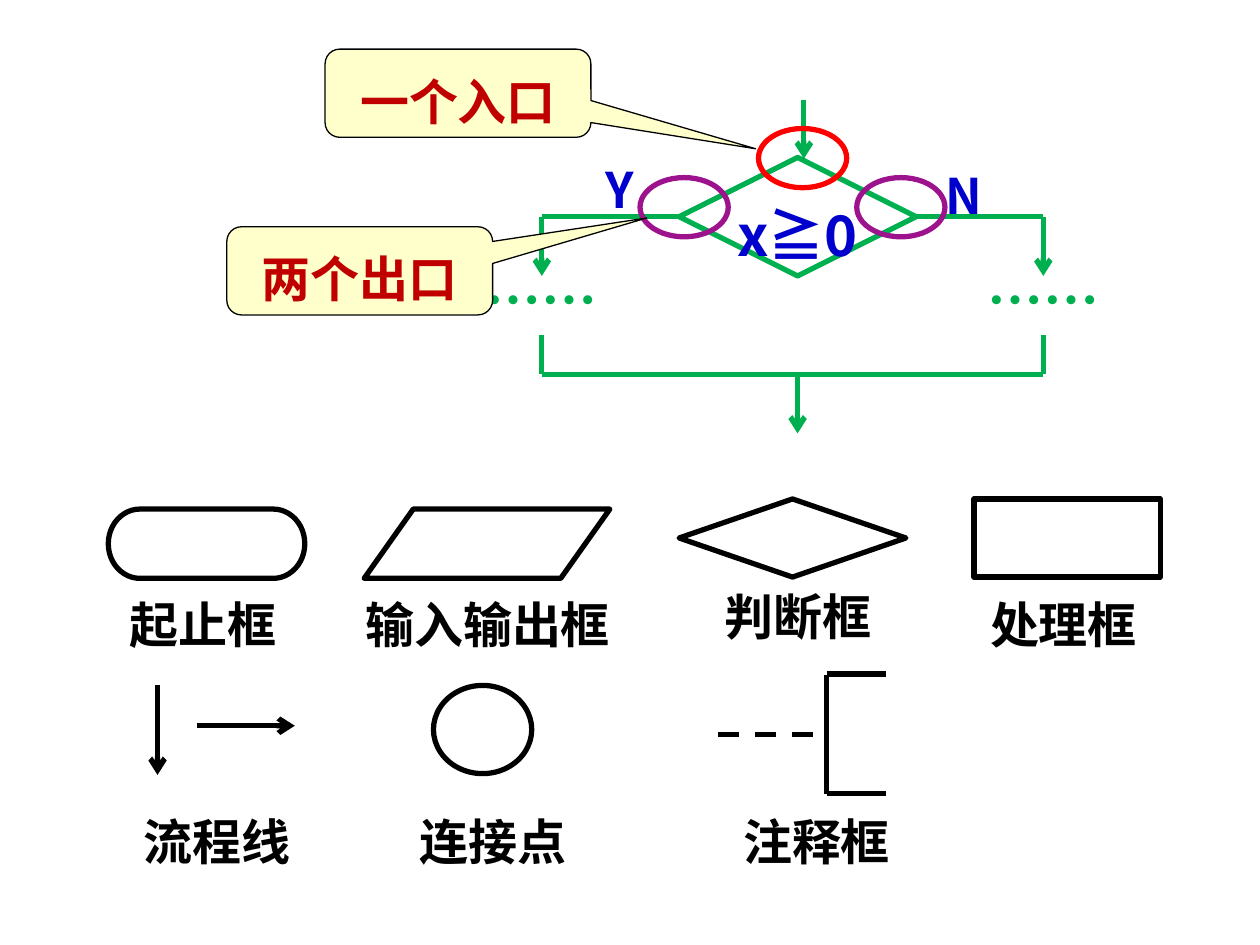
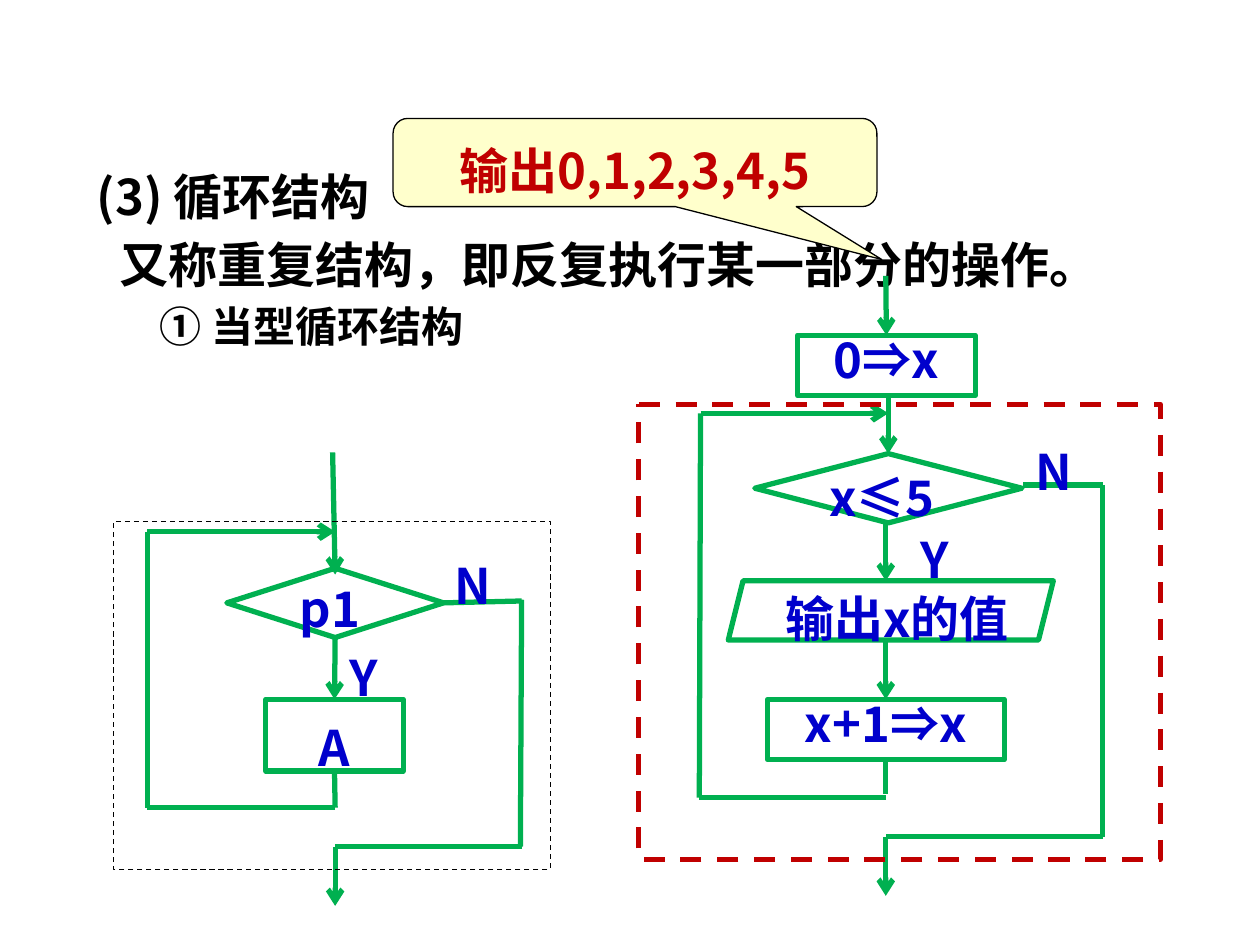
from lxml import etree
from pptx import Presentation
from pptx.dml.color import RGBColor
from pptx.enum.dml import MSO_LINE
from pptx.enum.shapes import MSO_CONNECTOR, MSO_SHAPE
from pptx.enum.text import MSO_ANCHOR, PP_ALIGN
from pptx.oxml.ns import qn
from pptx.util import Inches, Pt

FONT = "Noto Sans CJK SC"
BLACK = RGBColor(0x00, 0x00, 0x00)
WHITE = RGBColor(0xFF, 0xFF, 0xFF)
GREEN = RGBColor(0x00, 0xB0, 0x50)
BLUE = RGBColor(0x00, 0x00, 0xCC)
DARK_RED = RGBColor(0xC0, 0x00, 0x00)
RED = RGBColor(0xFF, 0x00, 0x00)
PURPLE = RGBColor(0x9D, 0x13, 0x8D)
CREAM = RGBColor(0xFF, 0xFF, 0xCC)

RECT = MSO_SHAPE.RECTANGLE
ELLIPSE = MSO_SHAPE.OVAL
TERMINATOR = MSO_SHAPE.FLOWCHART_TERMINATOR
DATA = MSO_SHAPE.FLOWCHART_DATA
DECISION = MSO_SHAPE.FLOWCHART_DECISION
PROCESS = MSO_SHAPE.FLOWCHART_PROCESS
JOINT = MSO_SHAPE.FLOWCHART_CONNECTOR
PARALLELOGRAM = MSO_SHAPE.PARALLELOGRAM
CALLOUT = MSO_SHAPE.ROUNDED_RECTANGULAR_CALLOUT
STRAIGHT = MSO_CONNECTOR.STRAIGHT
DASH = MSO_LINE.DASH
CENTER = PP_ALIGN.CENTER
TOP = MSO_ANCHOR.TOP
JOINABLE = (RECT, DECISION, PROCESS)
SNAP = 0.02


def write(p, text, size, color, spacing=1.2):
    p.line_spacing = spacing
    r = p.add_run()
    r.text = text
    r.font.size = Pt(size)
    r.font.bold = True
    r.font.color.rgb = color
    r.font.name = FONT
    etree.SubElement(r._r.get_or_add_rPr(), qn("a:ea"), typeface=FONT)


def draw(s, kind, at, fill, color, width=3):
    sp = s.shapes.add_shape(kind, *map(Inches, at))
    sp.shadow.inherit = False
    if fill is None:
        sp.fill.background()
    else:
        sp.fill.solid()
        sp.fill.fore_color.rgb = fill
    sp.line.color.rgb = color
    sp.line.width = Pt(width)
    sp.text_frame.vertical_anchor = TOP
    return sp


symbols_slide = {
    "nodes": [
        (TERMINATOR, (0.86, 4.04, 1.56, 0.55), WHITE, BLACK),
        (DATA, (2.89, 4.04, 1.95, 0.55), WHITE, BLACK),
        (DECISION, (5.39, 3.96, 1.8, 0.62), WHITE, BLACK),
        (PROCESS, (7.73, 3.96, 1.48, 0.62), WHITE, BLACK),
        (JOINT, (3.44, 5.44, 0.78, 0.7), WHITE, BLACK),
        (DECISION, (5.39, 1.25, 1.88, 0.94), WHITE, GREEN),
    ],
    "node_texts": {5: ("x≧0", 32, 1.2)},
    "lines": [
        (BLACK, "arrow", (1.25, 5.44), (1.25, 6.15)),
        (BLACK, "arrow", (1.56, 5.76), (2.34, 5.76)),
        (BLACK, "dash", (5.7, 5.83), (6.56, 5.83)),
        (BLACK, "", (6.56, 5.35), (7.03, 5.35)),
        (BLACK, "", (6.56, 5.36), (6.56, 6.3)),
        (BLACK, "", (6.56, 6.3), (7.03, 6.3)),
        (GREEN, "arrow", (6.38, 0.79), (6.38, 1.26)),
        (GREEN, "arrow", (4.3, 1.72), (4.3, 2.19)),
        (GREEN, "", (5.39, 1.72), (4.3, 1.72)),
        (GREEN, "", (8.28, 1.72), (7.27, 1.72)),
        (GREEN, "arrow", (8.28, 1.72), (8.28, 2.19)),
        (GREEN, "", (4.3, 2.66), (4.3, 2.97)),
        (GREEN, "", (8.28, 2.66), (8.28, 2.97)),
        (GREEN, "", (8.28, 2.97), (4.3, 2.97)),
        (GREEN, "arrow", (6.33, 2.97), (6.33, 3.44)),
    ],
    "labels": [
        ("起止框", 0.83, 4.58, 1.56, 28, BLACK),
        ("输入输出框", 2.66, 4.58, 2.42, 28, BLACK),
        ("判断框", 5.47, 4.51, 1.72, 28, BLACK),
        ("处理框", 7.58, 4.58, 1.72, 28, BLACK),
        ("流程线", 0.86, 6.3, 1.72, 28, BLACK),
        ("连接点", 3.05, 6.3, 1.72, 28, BLACK),
        ("注释框", 5.62, 6.3, 1.72, 28, BLACK),
        ("Y", 4.61, 1.12, 0.62, 28, BLUE),
        ("N", 7.34, 1.17, 0.62, 28, BLUE),
        ("……", 3.44, 1.95, 1.72, 32, GREEN),
        ("……", 7.42, 1.95, 1.72, 32, GREEN),
    ],
    "frames": [
        (ELLIPSE, (6.02, 1.02, 0.7, 0.47), RED, 3, None),
        (ELLIPSE, (5.08, 1.41, 0.7, 0.47), PURPLE, 3, None),
        (ELLIPSE, (6.8, 1.41, 0.7, 0.47), PURPLE, 3, None),
    ],
    "callouts": [
        ("一个入口", (2.58, 0.39, 2.11, 0.7), (1.12, 0.63)),
        ("两个出口", (1.8, 1.8, 2.11, 0.7), (1.08, -0.6)),
    ],
    "body": [],
}

loop_slide = {
    "nodes": [
        (RECT, (2.11, 5.55, 1.09, 0.57), None, GREEN),
        (DECISION, (1.8, 4.51, 1.72, 0.55), WHITE, GREEN),
        (DECISION, (5.99, 3.6, 2.12, 0.55), WHITE, GREEN),
        (RECT, (6.33, 2.66, 1.41, 0.48), None, GREEN),
        (PARALLELOGRAM, (5.78, 4.61, 2.58, 0.47), WHITE, GREEN),
        (RECT, (6.09, 5.55, 1.88, 0.48), None, GREEN),
    ],
    "node_texts": {0: ("A", 28, 1.2), 3: ("0⇒x", 28, Pt(27)), 5: ("x+1⇒x", 28, Pt(27))},
    "lines": [
        (GREEN, "arrow", (2.64, 3.59), (2.66, 4.56)),
        (GREEN, "arrow", (1.17, 4.22), (2.66, 4.22)),
        (GREEN, "arrow", (2.66, 5.06), (2.66, 5.55)),
        (GREEN, "", (2.66, 6.12), (2.66, 6.41)),
        (GREEN, "", (2.66, 6.41), (1.17, 6.41)),
        (GREEN, "", (1.17, 6.41), (1.17, 4.22)),
        (GREEN, "", (4.14, 4.77), (3.52, 4.77)),
        (GREEN, "", (4.13, 6.72), (4.14, 4.76)),
        (GREEN, "", (4.14, 6.72), (2.66, 6.72)),
        (GREEN, "arrow", (2.66, 6.72), (2.66, 7.19)),
        (GREEN, "arrow", (7.03, 2.19), (7.03, 2.66)),
        (GREEN, "arrow", (7.05, 3.16), (7.05, 3.6)),
        (GREEN, "arrow", (5.56, 3.28), (7.05, 3.28)),
        (GREEN, "arrow", (7.03, 4.14), (7.03, 4.61)),
        (GREEN, "arrow", (7.03, 5.08), (7.03, 5.55)),
        (GREEN, "", (7.03, 6.03), (7.03, 6.3)),
        (GREEN, "", (7.03, 6.33), (5.55, 6.33)),
        (GREEN, "", (5.55, 6.33), (5.56, 3.28)),
        (GREEN, "", (8.75, 3.85), (8.12, 3.85)),
        (GREEN, "", (8.75, 6.64), (8.75, 3.85)),
        (GREEN, "", (8.75, 6.64), (7.03, 6.64)),
        (GREEN, "arrow", (7.03, 6.64), (7.03, 7.11)),
    ],
    "labels": [
        ("p1", 2.11, 4.45, 1.02, 28, BLUE),
        ("Y", 2.5, 5, 0.78, 28, BLUE),
        ("N", 3.36, 4.27, 0.78, 28, BLUE),
        ("x≤5", 6.37, 3.57, 1.26, 28, BLUE),
        ("Y", 7.03, 4.06, 0.78, 28, BLUE),
        ("N", 7.97, 3.36, 0.78, 28, BLUE),
        ("输出x的值", 5.86, 4.53, 2.52, 28, BLUE),
    ],
    "frames": [
        (PROCESS, (5.07, 3.21, 4.14, 3.61), DARK_RED, 3, DASH),
        (RECT, (0.9, 4.14, 3.47, 2.76), BLACK, 0.75, DASH),
    ],
    "callouts": [("输出0,1,2,3,4,5", (3.12, 0.94, 3.84, 0.7), (0.51, 1.1))],
    "body": [
        ("(3) 循环结构", 28, 0, 0.38, -0.38, 0),
        ("又称重复结构，即反复执行某一部分的操作。", 28, 0, 0.56, -0.38, 5.2),
        ("① 当型循环结构", 24, 1, 0.81, -0.31, 4.5),
    ],
}

prs = Presentation()
prs.slide_width = Inches(10)
prs.slide_height = Inches(7.5)

for content in (symbols_slide, loop_slide):
    s = prs.slides.add_slide(prs.slide_layouts[6])

    if content["body"]:
        tf = s.shapes.add_textbox(Inches(0.67), Inches(1.27), Inches(9.06), Inches(2.27)).text_frame
        tf.word_wrap = True
        for i, (text, size, level, margin, indent, before) in enumerate(content["body"]):
            p = tf.paragraphs[0] if i == 0 else tf.add_paragraph()
            p.level = level
            pPr = p._p.get_or_add_pPr()
            pPr.set("marL", str(Inches(margin)))
            pPr.set("indent", str(Inches(indent)))
            p.space_before = Pt(before)
            write(p, text, size, BLACK, 1.0)

    sites = []
    for i, (kind, at, fill, color) in enumerate(content["nodes"]):
        sp = draw(s, kind, at, fill, color)
        if kind in JOINABLE:
            x, y, w, h = at
            middles = [(x + w / 2, y), (x, y + h / 2), (x + w / 2, y + h), (x + w, y + h / 2)]
            sites += [(sp, site, mx, my) for site, (mx, my) in enumerate(middles)]
        if i in content["node_texts"]:
            text, size, spacing = content["node_texts"][i]
            tf = sp.text_frame
            if kind == DECISION:
                tf.word_wrap = False
                tf.margin_left = tf.margin_right = tf.margin_top = tf.margin_bottom = 0
            p = tf.paragraphs[0]
            p.alignment = CENTER
            write(p, text, size, BLUE, spacing)

    for color, style, start, end in content["lines"]:
        line = s.shapes.add_connector(STRAIGHT, *map(Inches, start + end))
        line.line.color.rgb = color
        line.line.width = Pt(3)
        if style == "dash":
            line.line.dash_style = DASH
        if style == "arrow":
            etree.SubElement(line.line._get_or_add_ln(), qn("a:tailEnd"), type="arrow")
        etree.SubElement(line._element.spPr, qn("a:effectLst"))
        for (x, y), connect in ((start, line.begin_connect), (end, line.end_connect)):
            for sp, site, mx, my in sites:
                if abs(x - mx) < SNAP and abs(y - my) < SNAP:
                    connect(sp, site)

    for text, x, y, w, size, color in content["labels"]:
        tf = s.shapes.add_textbox(Inches(x), Inches(y), Inches(w), Inches(0.57)).text_frame
        tf.word_wrap = True
        p = tf.paragraphs[0]
        p.alignment = CENTER
        write(p, text, size, color)

    for kind, at, color, width, dash in content["frames"]:
        sp = draw(s, kind, at, None, color, width)
        if dash:
            sp.line.dash_style = dash

    for text, at, tip in content["callouts"]:
        sp = draw(s, CALLOUT, at, CREAM, BLACK, 0.75)
        sp.adjustments[0], sp.adjustments[1] = tip
        p = sp.text_frame.paragraphs[0]
        p.alignment = CENTER
        write(p, text, 28, DARK_RED)

prs.save("out.pptx")
